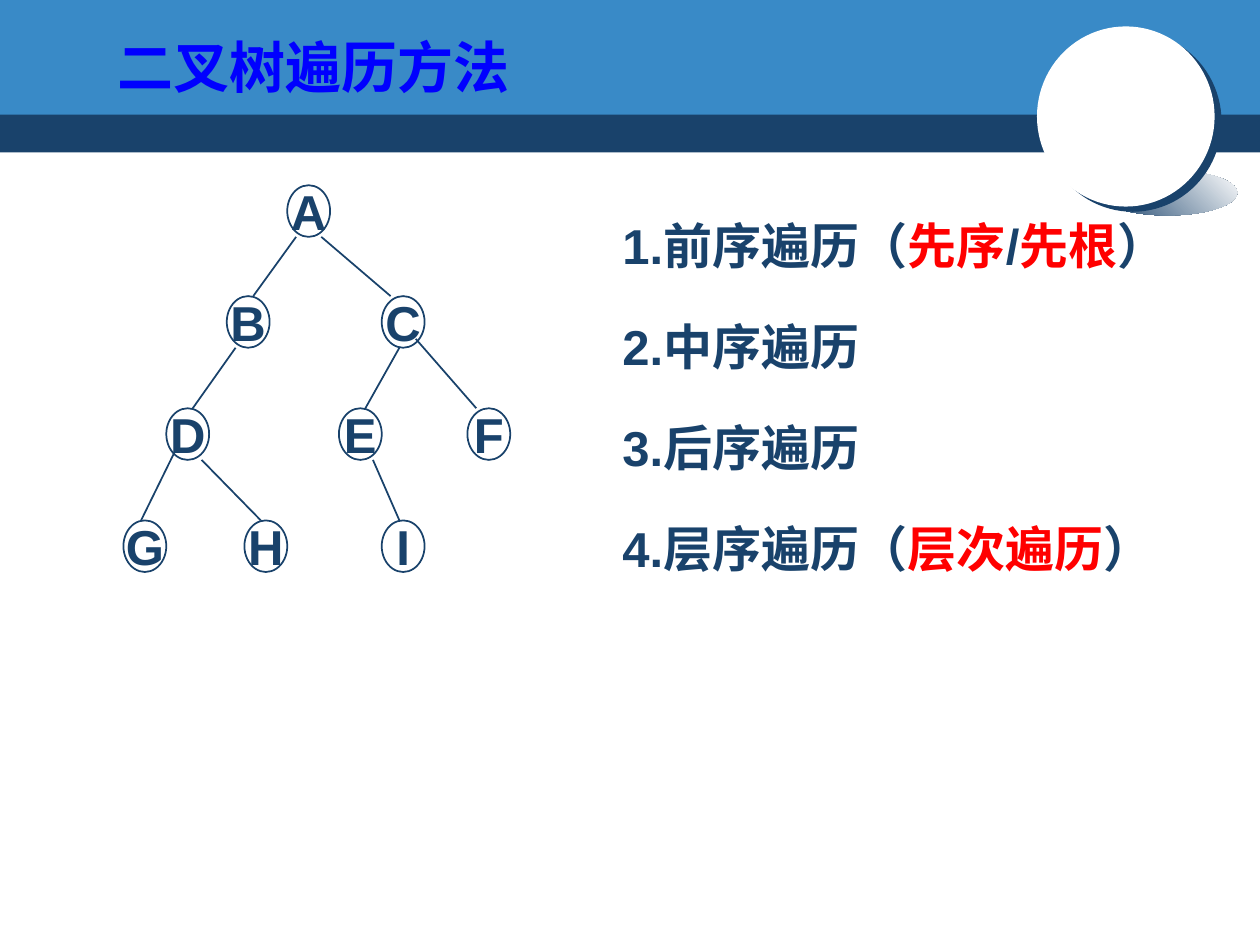
import pptx
import pptx.util
import pptx.dml.color
import pptx.enum.shapes
import pptx.enum.text
import pptx.oxml
import pptx.oxml.ns
from lxml import etree

PX = 9144
COLORS = {"navy": "19426B", "sky": "398AC7", "white": "FFFFFF", "red": "FF0000", "blue": "0000FF"}
SHAPE = pptx.enum.shapes.MSO_SHAPE
ANCHOR = pptx.enum.text.MSO_ANCHOR
ALIGN = pptx.enum.text.PP_ALIGN
NODE_WIDTH, NODE_HEIGHT = 34, 41


def px(*lengths):
    return [pptx.util.Emu(length * PX) for length in lengths]


def rgb(color):
    return pptx.dml.color.RGBColor.from_string(COLORS[color])


class TreeSlide:
    font = "Arial"
    size = 28

    def __init__(self, slide):
        self.slide = slide
        self.canvas = slide.shapes

    def start_group(self):
        self.canvas = self.slide.shapes.add_group_shape().shapes

    def shape(self, kind, box, fill=None):
        shape = self.canvas.add_shape(kind, *px(*box))
        shape.shadow.inherit = False
        if fill:
            shape.fill.solid()
            shape.fill.fore_color.rgb = rgb(fill)
        else:
            shape.fill.background()
        shape.line.fill.background()
        return shape

    def gradient(self, shape, colors, angle):
        shape.fill.gradient()
        shape.fill.gradient_angle = angle
        for position, (stop, color) in enumerate(zip(shape.fill.gradient_stops, colors)):
            stop.position = position
            stop.color.rgb = rgb(color)

    def drop_shadow(self, shape, color, distance, degrees):
        effects = shape._element.spPr.find(pptx.oxml.ns.qn("a:effectLst"))
        shadow = etree.SubElement(effects, pptx.oxml.ns.qn("a:outerShdw"), blurRad="0",
                                  dist=str(pptx.util.Pt(distance)), dir=str(degrees * 60000),
                                  algn="ctr", rotWithShape="0")
        etree.SubElement(shadow, pptx.oxml.ns.qn("a:srgbClr"), val=COLORS[color])

    def style(self, font, color="navy", size=size):
        font.name = self.font
        font.size = pptx.util.Pt(size)
        font.bold = True
        font.color.rgb = rgb(color)

    def node(self, letter, left, top):
        node = self.shape(SHAPE.OVAL, (left, top, NODE_WIDTH, NODE_HEIGHT))
        node.line.color.rgb = rgb("navy")
        node.line.width = pptx.util.Pt(1)
        frame = node.text_frame
        frame.text = letter
        frame.word_wrap = False
        frame.vertical_anchor = ANCHOR.MIDDLE
        frame.paragraphs[0].alignment = ALIGN.CENTER
        self.style(frame.paragraphs[0].runs[0].font)

    def branch(self, start, end):
        branch = self.canvas.add_connector(pptx.enum.shapes.MSO_CONNECTOR.STRAIGHT, *px(*start, *end))
        branch.line.color.rgb = rgb("navy")
        branch.line.width = pptx.util.Pt(1)
        etree.SubElement(branch._element.spPr, pptx.oxml.ns.qn("a:effectLst"))

    def place(self, placeholder, box, anchor):
        placeholder.left, placeholder.top, placeholder.width, placeholder.height = px(*box)
        self.slide.shapes._spTree.append(placeholder._element)
        frame = placeholder.text_frame
        frame.word_wrap = True
        frame.auto_size = pptx.enum.text.MSO_AUTO_SIZE.NONE
        frame.vertical_anchor = anchor
        return frame

    def title(self, text, box):
        frame = self.place(self.slide.shapes.title, box, ANCHOR.BOTTOM)
        frame.text = text
        frame.paragraphs[0].alignment = ALIGN.LEFT
        self.style(frame.paragraphs[0].runs[0].font, "blue", 32)

    def body(self, items, box):
        frame = self.place(self.slide.placeholders[1], box, ANCHOR.TOP)
        for index, parts in enumerate(items):
            paragraph = frame.add_paragraph() if index else frame.paragraphs[0]
            properties = paragraph._p.get_or_add_pPr()
            properties.set("marL", "0")
            properties.set("indent", "0")
            etree.SubElement(properties, pptx.oxml.ns.qn("a:buNone"))
            paragraph.line_spacing = 1.3
            paragraph.space_before = pptx.util.Pt(14 if index else 0)
            for text, color in parts:
                run = paragraph.add_run()
                run.text = text
                self.style(run.font, color)


def main():
    deck = pptx.Presentation()
    deck.slide_width, deck.slide_height = px(1000, 750)
    page = TreeSlide(deck.slides.add_slide(deck.slide_layouts[1]))

    page.shape(SHAPE.RECTANGLE, (0, 87, 1000, 34), "navy")
    page.shape(SHAPE.RECTANGLE, (0, 0, 1000, 91), "sky")

    page.start_group()
    cast = page.shape(SHAPE.OVAL, (871, 135, 111, 36))
    page.gradient(cast, ("navy", "white"), 45)
    ball = page.shape(SHAPE.OVAL, (823, 21, 141, 143), "white")
    page.drop_shadow(ball, "navy", 5, 37)
    page.shape(SHAPE.OVAL, (870, 71, 50, 49), "white")

    levels = [
        {"A": 228},
        {"B": 180, "C": 303},
        {"D": 132, "E": 269, "F": 371},
        {"G": 98, "H": 194, "I": 303},
    ]
    branches = [
        ("A", "B", -10, 41, 4), ("A", "C", 10, 41, -10),
        ("B", "D", -10, 41, 4), ("C", "E", -3, 41, 4),
        ("C", "F", 10, 34, -10), ("D", "G", -10, 34, -3),
        ("D", "H", 11, 41, -4), ("E", "I", 10, 41, -3),
    ]
    page.start_group()
    tops = {}
    for depth, level in enumerate(levels):
        top = 147 + depth * 266 // 3
        for letter, left in level.items():
            page.node(letter, left, top)
            tops[letter] = (left + NODE_WIDTH // 2, top)
    for parent, child, start_shift, start_drop, end_shift in branches:
        parent_x, parent_y = tops[parent]
        child_x, child_y = tops[child]
        page.branch((parent_x + start_shift, parent_y + start_drop), (child_x + end_shift, child_y))

    page.body([
        [("1.前序遍历（", "navy"), ("先序", "red"), ("/", "navy"), ("先根", "red"), ("）", "navy")],
        [("2.中序遍历", "navy")],
        [("3.后序遍历", "navy")],
        [("4.层序遍历（", "navy"), ("层次遍历", "red"), ("）", "navy")],
    ], (484, 152, 496, 410))
    page.title("二叉树遍历方法", (83, 13, 852, 71))

    deck.save("out.pptx")


if __name__ == "__main__":
    main()
